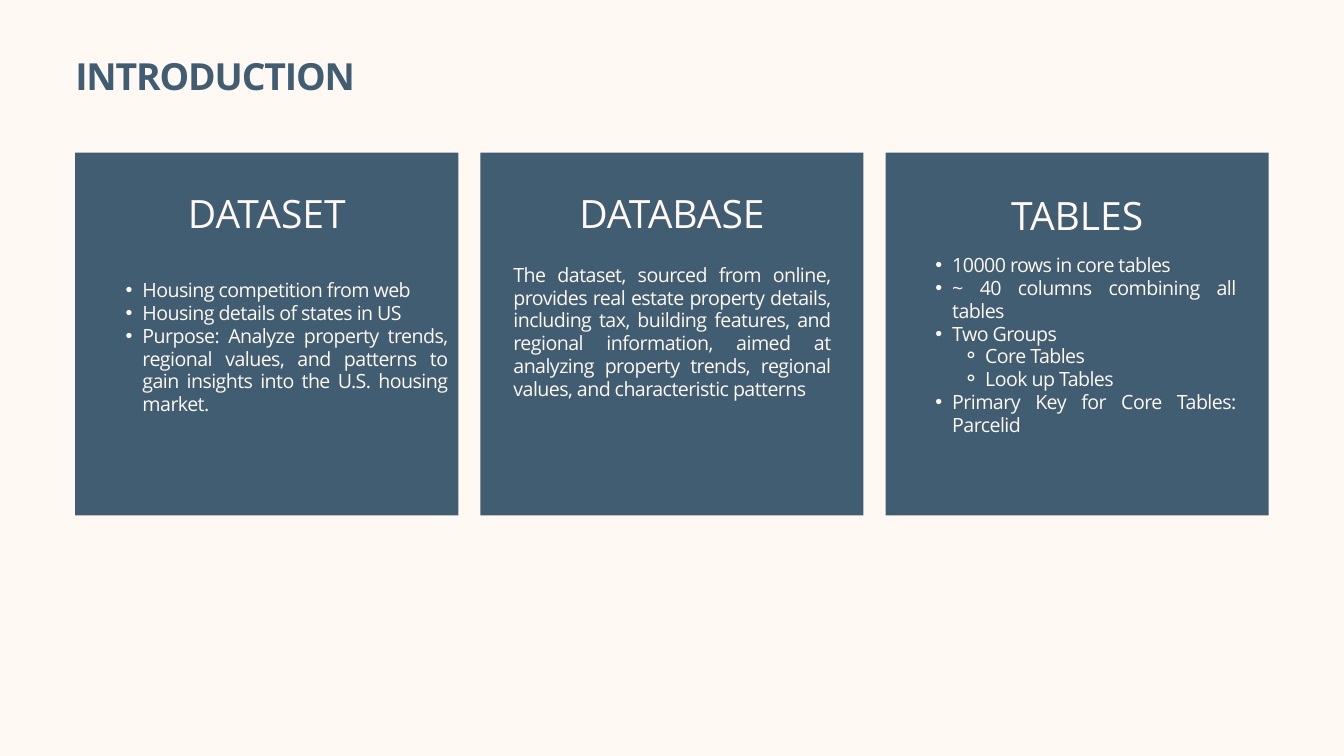
from dataclasses import dataclass

from lxml import etree
from pptx import Presentation
from pptx.dml.color import RGBColor
from pptx.enum.shapes import MSO_SHAPE
from pptx.enum.text import MSO_ANCHOR, MSO_AUTO_SIZE, PP_ALIGN
from pptx.oxml.ns import qn
from pptx.util import Inches, Pt

RECTANGLE = MSO_SHAPE.RECTANGLE
TOP = MSO_ANCHOR.TOP
NO_AUTOFIT = MSO_AUTO_SIZE.NONE
LEFT, CENTER, JUSTIFY = PP_ALIGN.LEFT, PP_ALIGN.CENTER, PP_ALIGN.JUSTIFY

COLORS = {"cream": "FFF8F3", "slate": "405D72"}
FONT = "Open Sans"
TWO_CONTENT_LAYOUT = 3

MARGIN = 1.12
CARD_TOP, CARD_WIDTH, CARD_HEIGHT = 2.27, 5.7, 5.4
CARD_PITCH = 6.03
HEADING_WIDTH, HEADING_HEIGHT = 3.8, 0.78


@dataclass(frozen=True)
class TextStyle:
    size: float
    line: float
    align: PP_ALIGN
    color: str = "cream"
    spacing: float = 0
    bold: bool = False


@dataclass(frozen=True)
class Bullet:
    char: str
    margin: float
    hanging: float


@dataclass(frozen=True)
class Line:
    text: str
    level: int = 0


@dataclass(frozen=True)
class Card:
    heading: str
    heading_top: float
    box: tuple[float, float, float, float]
    lines: tuple[Line, ...]


TITLE = TextStyle(40, 46.4, LEFT, "slate", -1.2, True)
HEADING = TextStyle(41.8, 58.5, CENTER)
BODY = TextStyle(21, 24.4, JUSTIFY, spacing=-0.6)

BULLETS = {1: Bullet("•", 0.5, 0.25), 2: Bullet("⚬", 0.99, 0.33)}

CARDS = (
    Card("DATASET", 2.7, (1.62, 4.15, 5.04, 2.26), (
        Line("Housing competition from web", 1),
        Line("Housing details of states in US", 1),
        Line("Purpose: Analyze property trends, regional values, and patterns "
             "to gain insights into the U.S. housing market.", 1),
    )),
    Card("DATABASE", 2.7, (7.64, 3.92, 4.72, 2), (
        Line("The dataset, sourced from online, provides real estate property "
             "details, including tax, building features, and regional "
             "information, aimed at analyzing property trends, regional "
             "values, and characteristic patterns"),
    )),
    Card("TABLES", 2.74, (13.67, 3.78, 4.72, 3), (
        Line("10000 rows in core tables", 1),
        Line("~ 40 columns combining all tables", 1),
        Line("Two Groups", 1),
        Line("Core Tables", 2),
        Line("Look up Tables", 2),
        Line("Primary Key for Core Tables: Parcelid", 1),
    )),
)


def rgb(name: str) -> RGBColor:
    return RGBColor.from_string(COLORS[name])


def add_bullet(paragraph, bullet: Bullet) -> None:
    properties = paragraph._p.get_or_add_pPr()
    properties.set("marL", str(Inches(bullet.margin)))
    properties.set("indent", str(-Inches(bullet.hanging)))
    etree.SubElement(properties, qn("a:buFont"), typeface="Arial")
    etree.SubElement(properties, qn("a:buChar"), char=bullet.char)


def write(holder, box: tuple[float, float, float, float],
          lines: tuple[Line, ...], style: TextStyle) -> None:
    holder.left, holder.top, holder.width, holder.height = map(Inches, box)
    frame = holder.text_frame
    frame.word_wrap = True
    frame.auto_size = NO_AUTOFIT
    frame.vertical_anchor = TOP
    frame.margin_left = frame.margin_right = 0
    frame.margin_top = frame.margin_bottom = 0
    for index, line in enumerate(lines):
        paragraph = frame.add_paragraph() if index else frame.paragraphs[0]
        paragraph.level = line.level
        if line.level:
            add_bullet(paragraph, BULLETS[line.level])
        paragraph.alignment = style.align
        paragraph.line_spacing = Pt(style.line)
        paragraph.space_before = Pt(0)
        run = paragraph.add_run()
        run.text = line.text
        run.font.name = FONT
        run.font.size = Pt(style.size)
        run.font.bold = style.bold
        run.font.color.rgb = rgb(style.color)
        if style.spacing:
            run._r.get_or_add_rPr().set("spc", str(round(style.spacing * 100)))


def add_text_box(slide):
    return slide.shapes.add_textbox(0, 0, Inches(1), Inches(1))


def add_card(slide, card: Card, left: float, body) -> None:
    panel = slide.shapes.add_shape(
        RECTANGLE, Inches(left), Inches(CARD_TOP),
        Inches(CARD_WIDTH), Inches(CARD_HEIGHT))
    panel.shadow.inherit = False
    panel.fill.solid()
    panel.fill.fore_color.rgb = rgb("slate")
    panel.line.fill.background()
    panel.element.getparent().insert(2, panel.element)

    heading_left = left + (CARD_WIDTH - HEADING_WIDTH) / 2
    write(add_text_box(slide),
          (heading_left, card.heading_top, HEADING_WIDTH, HEADING_HEIGHT),
          (Line(card.heading),), HEADING)
    write(body, card.box, card.lines, BODY)


def main() -> None:
    deck = Presentation()
    deck.slide_width, deck.slide_height = Inches(20), Inches(11.25)
    slide = deck.slides.add_slide(deck.slide_layouts[TWO_CONTENT_LAYOUT])
    slide.background.fill.solid()
    slide.background.fill.fore_color.rgb = rgb("cream")

    write(slide.shapes.title, (MARGIN, 0.81, 12.85, 0.65),
          (Line("INTRODUCTION"),), TITLE)
    bodies = (slide.placeholders[1], add_text_box(slide), slide.placeholders[2])
    for index, (card, body) in enumerate(zip(CARDS, bodies)):
        add_card(slide, card, MARGIN + index * CARD_PITCH, body)

    deck.save("out.pptx")


if __name__ == "__main__":
    main()
